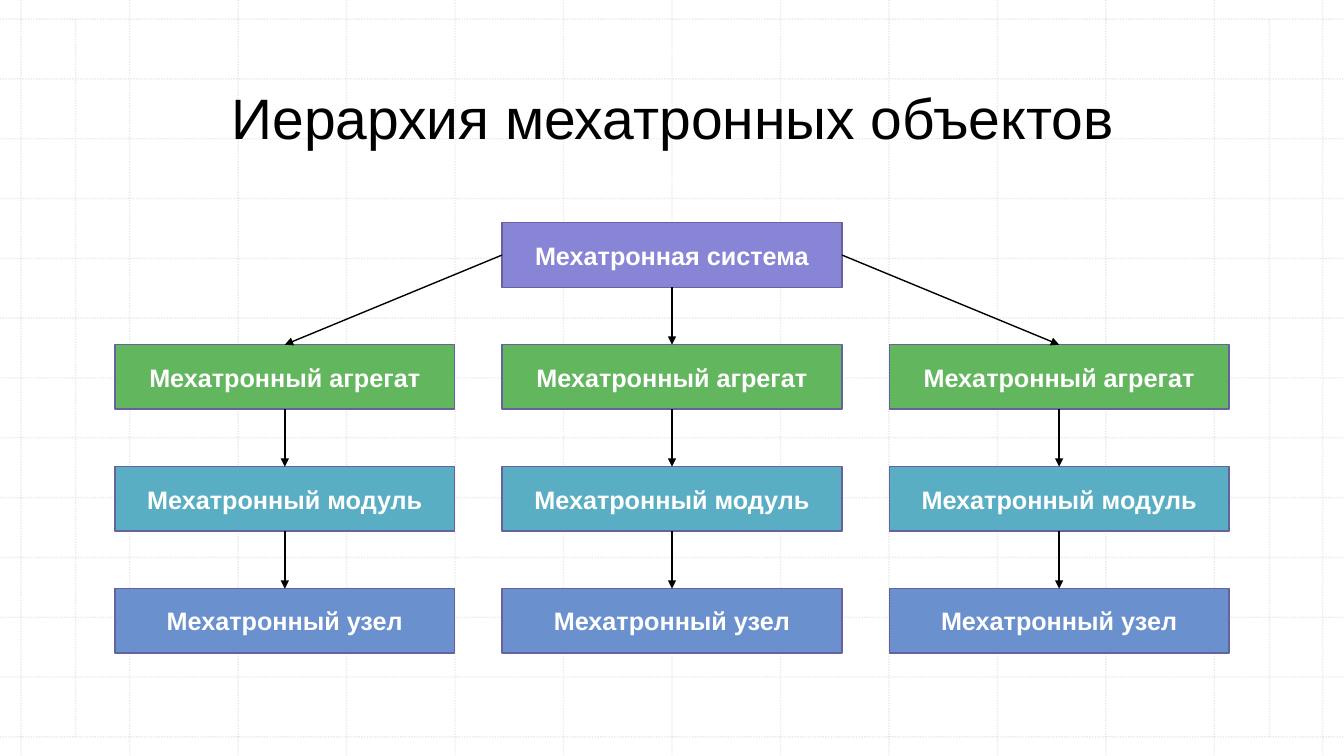
from lxml.etree import SubElement
from pptx import Presentation
from pptx.dml.color import RGBColor
from pptx.enum.dml import MSO_LINE
from pptx.enum.shapes import MSO_CONNECTOR, MSO_SHAPE
from pptx.enum.text import MSO_ANCHOR, PP_ALIGN
from pptx.oxml.ns import qn
from pptx.util import Inches, Pt

WHITE = RGBColor(0xFF, 0xFF, 0xFF)
BLACK = RGBColor(0x00, 0x00, 0x00)
GRAY = RGBColor(0xBC, 0xBC, 0xBC)
EDGE = RGBColor(0x65, 0x62, 0x9F)
VIOLET = RGBColor(0x88, 0x85, 0xD7)
GREEN = RGBColor(0x62, 0xB6, 0x5E)
TEAL = RGBColor(0x5A, 0xAE, 0xC3)
BLUE = RGBColor(0x6A, 0x90, 0xCE)

WIDE, HIGH = 13.33, 7.5
LEFT, RIGHT = 0.21, 13.12
TOP, BASE = 0.19, 7.31
CELLS = 12
COLS = (1.14, 4.98, 8.82)
ROW, STEP = 2.21, 1.21
UP, WEST, DOWN, EAST = range(4)
LEVELS = (
    ("Мехатронный агрегат", GREEN),
    ("Мехатронный модуль", TEAL),
    ("Мехатронный узел", BLUE),
)


class Board:
    font = "Arial"

    def __init__(self, slide):
        self.slide = slide
        fill = slide.background.fill
        fill.solid()
        fill.fore_color.rgb = WHITE

    def label(self, shape, text, size, color, bold, anchor):
        frame = shape.text_frame
        frame.word_wrap = True
        frame.vertical_anchor = anchor
        frame.text = text
        para = frame.paragraphs[0]
        para.alignment = PP_ALIGN.CENTER
        font = para.runs[0].font
        font.name, font.size, font.bold = self.font, Pt(size), bold
        font.color.rgb = color
        return para

    def line(self, x1, y1, x2, y2, color):
        line = self.slide.shapes.add_connector(
            MSO_CONNECTOR.STRAIGHT, Inches(x1), Inches(y1), Inches(x2), Inches(y2))
        line.line.width = Pt(1)
        line.line.color.rgb = color
        SubElement(line._element.spPr, qn("a:effectLst"))
        return line

    def rule(self, x1, y1, x2, y2):
        line = self.line(x1, y1, x2, y2, GRAY)
        line.line.dash_style = MSO_LINE.ROUND_DOT
        tint = line._element.spPr.find(".//" + qn("a:srgbClr"))
        SubElement(tint, qn("a:alpha"), val="30000")

    def arrow(self, start, side, end):
        line = self.line(0, 0, 1, 1, BLACK)
        line.begin_connect(start, side)
        line.end_connect(end, UP)
        edge = line._element.spPr.find(qn("a:ln"))
        SubElement(edge, qn("a:tailEnd"), type="triangle")

    def box(self, x, y, text, color):
        box = self.slide.shapes.add_shape(
            MSO_SHAPE.RECTANGLE, Inches(x), Inches(y), Inches(3.37), Inches(0.64))
        box.shadow.inherit = False
        box.fill.solid()
        box.fill.fore_color.rgb = color
        box.line.color.rgb = EDGE
        box.line.width = Pt(1)
        self.label(box, text, 18, WHITE, True, MSO_ANCHOR.MIDDLE)
        return box

    def title(self, text):
        box = self.slide.shapes.add_textbox(
            Inches(1.29), Inches(0.82), Inches(10.76), Inches(0.74))
        para = self.label(box, text, 40.7, BLACK, False, MSO_ANCHOR.BOTTOM)
        para.line_spacing = 0.9


def main():
    deck = Presentation()
    deck.slide_width, deck.slide_height = Inches(WIDE), Inches(HIGH)
    board = Board(deck.slides.add_slide(deck.slide_layouts[6]))

    for i in range(CELLS + 1):
        x = LEFT + i * (RIGHT - LEFT) / CELLS
        y = TOP + i * (BASE - TOP) / CELLS
        board.rule(x, 0, x, HIGH)
        board.rule(0, y, WIDE, y)
    for x in (0.75, 12.59):
        board.rule(x, TOP, x, BASE)

    root = board.box(COLS[1], ROW, "Мехатронная система", VIOLET)
    for x, side in zip(COLS, (WEST, DOWN, EAST)):
        above = root
        for i, (text, color) in enumerate(LEVELS, 1):
            box = board.box(x, ROW + i * STEP, text, color)
            board.arrow(above, side, box)
            above, side = box, DOWN

    board.title("Иерархия мехатронных объектов")
    deck.save("out.pptx")


if __name__ == "__main__":
    main()
